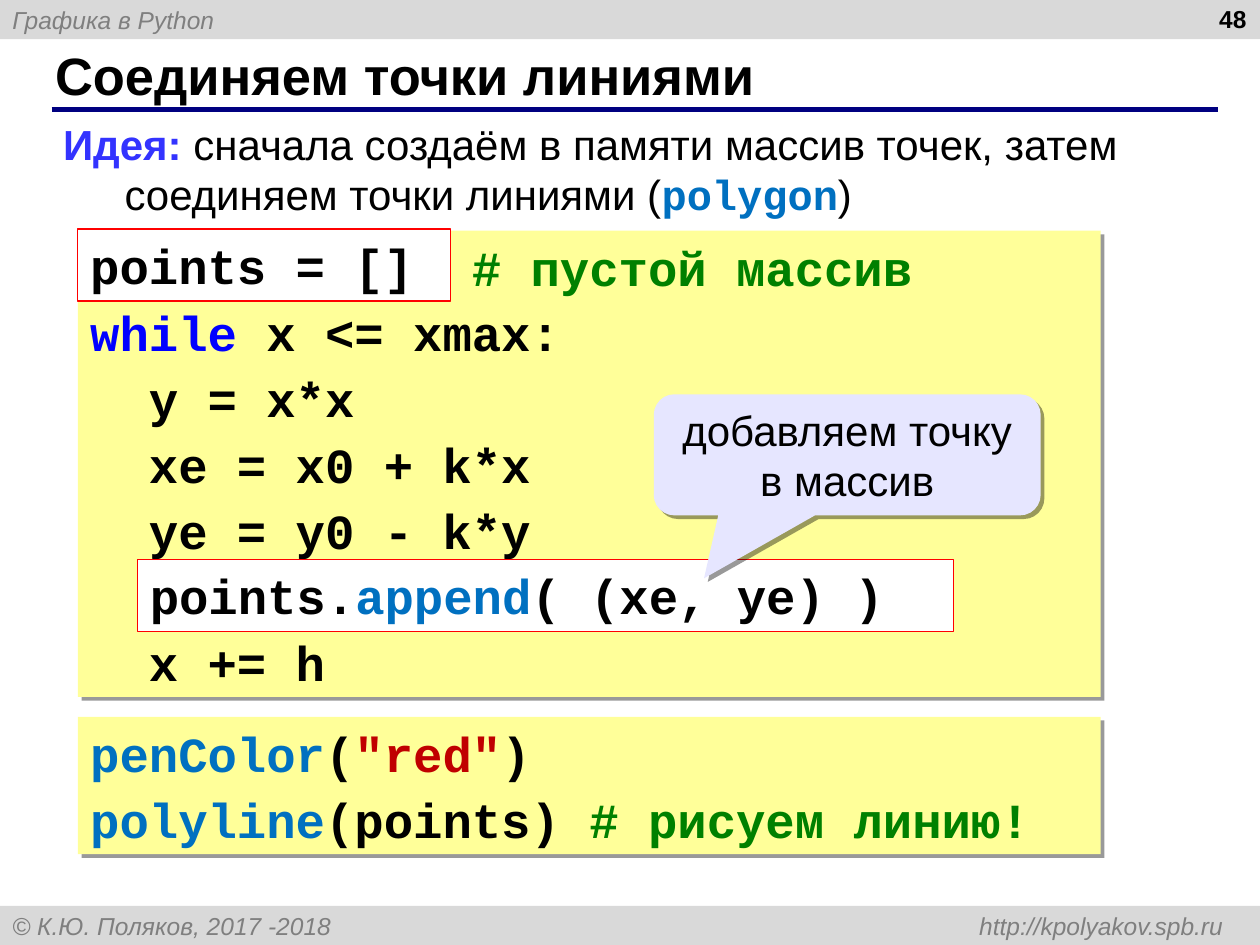
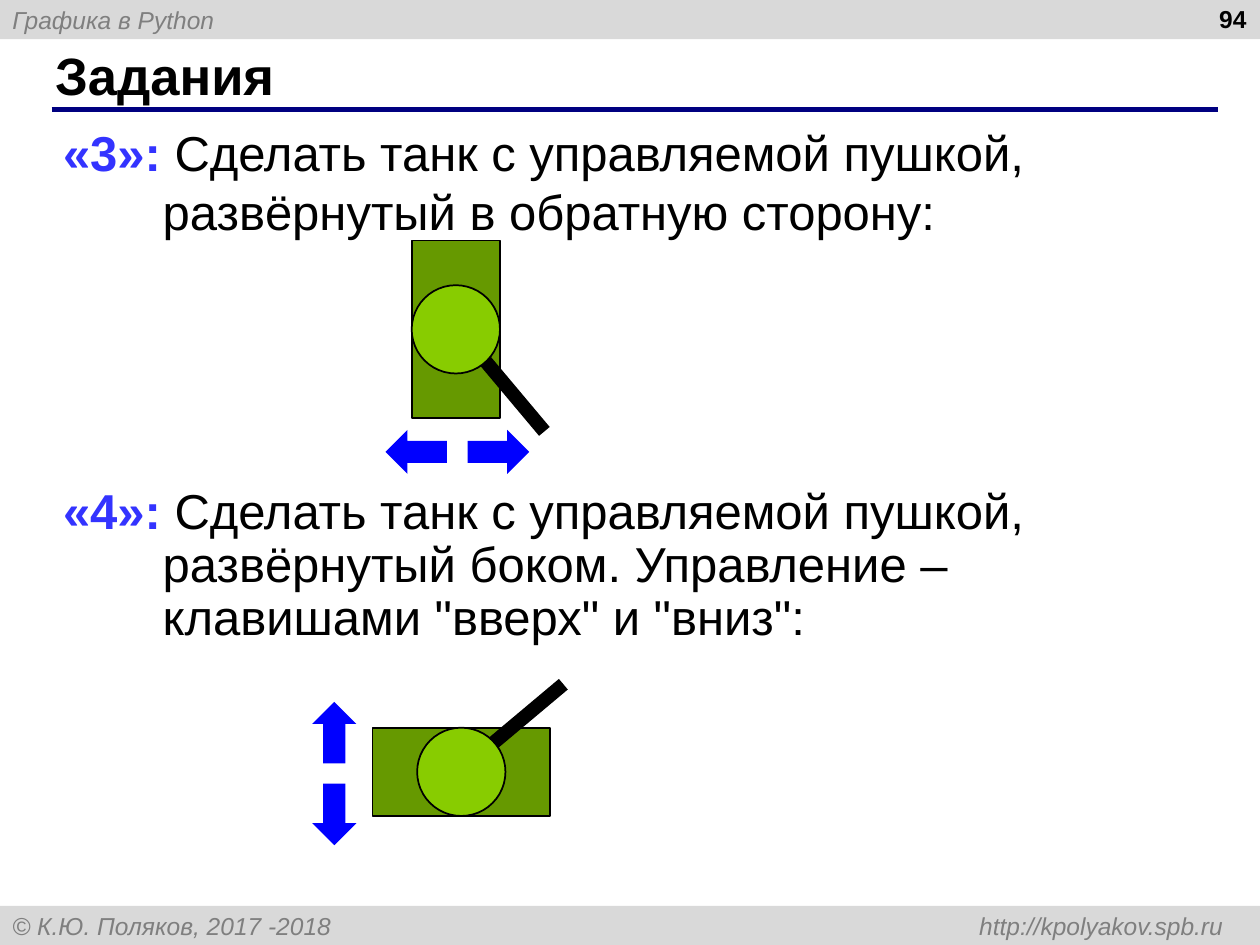
from lxml.etree import SubElement
from pptx import Presentation
from pptx.dml.color import RGBColor
from pptx.enum.shapes import MSO_CONNECTOR, MSO_SHAPE
from pptx.enum.text import MSO_ANCHOR, MSO_AUTO_SIZE, PP_ALIGN
from pptx.oxml.ns import qn
from pptx.util import Cm, Pt

HUES = {
    "black": "000000", "white": "FFFFFF", "band": "D9D9D9", "gray": "7F7F7F",
    "navy": "000080", "mark": "3333FF", "name": "0070C0", "note": "008000",
    "word": "0000FF", "text": "C00000", "code": "FFFF99", "frame": "FF0000",
    "call": "E6E6FF", "hull": "669900", "dome": "88CC00",
}
SANS, MONO = "Arial", "Courier New"


def hue(name):
    return RGBColor.from_string(HUES[name])


class Deck:
    """Holds the shared style and the slide being built."""

    def __init__(self):
        self.prs = Presentation()
        self.prs.slide_width, self.prs.slide_height = Cm(25.4), Cm(19.05)
        self.slide = None

    def page(self, title, number):
        self.slide = self.prs.slides.add_slide(self.prs.slide_layouts[1])
        top = self.box(0, 0, 25.4, 0.79, "band")
        foot = self.box(0, 18.26, 25.4, 0.79, "band")
        for band, text in ((top, "Графика в Python"),
                           (foot, "© К.Ю. Поляков, 2017 -2018\thttp://kpolyakov.spb.ru")):
            self.frame(band, MSO_ANCHOR.MIDDLE)
            para = band.text_frame.paragraphs[0]
            if band is foot:
                tabs = SubElement(para._p.get_or_add_pPr(), qn("a:tabLst"))
                SubElement(tabs, qn("a:tab"), pos=str(Cm(24.41)), algn="r")
            self.runs(para, [(text, "gray")], 14, italic=True)
        self.rule(1.04, 2.21, 24.56)
        head = self.slide.shapes.title
        self.place(head, 0.86, 0.84, 23.27, 1.32)
        self.frame(head, MSO_ANCHOR.MIDDLE)
        self.runs(head.text_frame.paragraphs[0], [(title, "black")], 30, bold=True)
        num = self.slide.shapes.add_textbox(Cm(19.46), Cm(-0.05), Cm(5.92), Cm(1.32))
        self.frame(num)
        self.runs(num.text_frame.paragraphs[0], [(number, "black")], 14, bold=True,
                  align=PP_ALIGN.RIGHT)

    def place(self, shape, x, y, w, h):
        shape.left, shape.top, shape.width, shape.height = Cm(x), Cm(y), Cm(w), Cm(h)

    def frame(self, shape, anchor=MSO_ANCHOR.TOP):
        text = shape.text_frame
        text.word_wrap = True
        text.auto_size = MSO_AUTO_SIZE.NONE
        text.vertical_anchor = anchor
        text.margin_left = text.margin_right = Cm(0.25)
        text.margin_top = text.margin_bottom = Cm(0.13)

    def runs(self, para, parts, size, font=SANS, bold=False, italic=False,
             align=PP_ALIGN.LEFT):
        """Add (text, hue) parts; a part may add its own bold and font."""
        para.alignment = align
        for text, tone, *own in parts:
            run = para.add_run()
            run.text = text
            run.font.size = Pt(size)
            run.font.color.rgb = hue(tone)
            run.font.bold = own[0] if own else bold
            run.font.name = own[1] if len(own) > 1 else font
            run.font.italic = italic

    def box(self, x, y, w, h, fill, kind=MSO_SHAPE.RECTANGLE, line=None,
            width=1, home=None):
        shapes = (home or self.slide).shapes
        shape = shapes.add_shape(kind, Cm(x), Cm(y), Cm(w), Cm(h))
        shape.shadow.inherit = False
        shape.fill.solid()
        shape.fill.fore_color.rgb = hue(fill)
        if line:
            shape.line.color.rgb = hue(line)
            shape.line.width = Pt(width)
        else:
            shape.line.fill.background()
        return shape

    def shade(self, shape):
        """Give the shape a hard shadow, down and to the right."""
        effects = shape._element.spPr.find(qn("a:effectLst"))
        drop = SubElement(effects, qn("a:outerShdw"), dist=str(Pt(3)),
                          dir="2700000", algn="tl", rotWithShape="0")
        tone = SubElement(drop, qn("a:srgbClr"), val=HUES["black"])
        SubElement(tone, qn("a:alpha"), val="40000")

    def rule(self, x, y, end):
        line = self.slide.shapes.add_connector(
            MSO_CONNECTOR.STRAIGHT, Cm(x), Cm(y), Cm(end), Cm(y))
        line.line.color.rgb = hue("navy")
        line.line.width = Pt(3)
        SubElement(line._element.spPr, qn("a:effectLst"))

    def body(self, y, h, hang, size, paras):
        """Fill the body with (parts, space before, line spacing) paragraphs."""
        shape = self.slide.placeholders[1]
        self.place(shape, 1.02, y, 23.38, h)
        self.frame(shape)
        for i, (parts, before, pitch) in enumerate(paras):
            text = shape.text_frame
            para = text.add_paragraph() if i else text.paragraphs[0]
            props = para._p.get_or_add_pPr()
            props.set("marL", str(Cm(hang)))
            props.set("indent", str(-Cm(hang)))
            SubElement(props, qn("a:buNone"))
            para.space_before = Pt(before)
            para.line_spacing = pitch
            self.runs(para, parts, size)

    def code(self, x, y, w, h, lines, framed=False):
        if framed:
            shape = self.box(x, y, w, h, "white", line="frame", width=0.75)
        else:
            shape = self.box(x, y, w, h, "code")
            self.shade(shape)
        self.frame(shape)
        for i, parts in enumerate(lines):
            text = shape.text_frame
            para = text.add_paragraph() if i else text.paragraphs[0]
            para.space_before = Pt(4 if i else 0)
            self.runs(para, parts, 28, MONO, bold=True)

    def call(self, x, y, w, h, text):
        shape = self.box(x, y, w, h, "call", MSO_SHAPE.ROUNDED_RECTANGULAR_CALLOUT)
        for i, value in enumerate((-0.37, 1.02, 0.17)):
            shape.adjustments[i] = value
        self.shade(shape)
        self.frame(shape, MSO_ANCHOR.MIDDLE)
        self.runs(shape.text_frame.paragraphs[0], [(text, "black")], 24,
                  align=PP_ALIGN.CENTER)

    def tank(self, x, y, w, h, dx, dy, angle):
        """Draw a tank centred at x, y with its gun centred dx, dy away."""
        group = self.slide.shapes.add_group_shape()
        gun_w, gun_h, dome = 0.28, 2.29, 1.78
        self.box(x - w / 2, y - h / 2, w, h, "hull", line="black", home=group)
        gun = self.box(x + dx - gun_w / 2, y + dy - gun_h / 2, gun_w, gun_h,
                       "black", home=group)
        gun.rotation = angle
        self.box(x - dome / 2, y - dome / 2, dome, dome, "dome",
                 MSO_SHAPE.OVAL, "black", home=group)

    def keys(self, w, h, arrows):
        """Draw a group of (kind, centre x, centre y) arrows."""
        group = self.slide.shapes.add_group_shape()
        for kind, x, y in arrows:
            self.box(x - w / 2, y - h / 2, w, h, "word", kind, home=group)


def lines(deck):
    deck.page("Соединяем точки линиями", "48")
    deck.body(2.26, 2.29, 1.24, 24, [([
        ("Идея: ", "mark", True),
        ("сначала создаём в памяти массив точек, затем соединяем точки линиями (", "black"),
        ("polygon", "name", True, MONO), (")", "black")], 0, 1)])
    start = ("points = []", "black")
    add = [("append", "name"), ("( (xe, ye) )", "black")]
    deck.code(1.57, 4.65, 20.62, 9.4, [
        [start, ("  # пустой массив", "note")],
        [("while", "word"), (" x <= xmax:", "black")],
        [("  y = x*x", "black")],
        [("  xe = x0 + k*x", "black")],
        [("  ye = y0 - k*y", "black")],
        [("  points.", "black"), *add],
        [("  x += h", "black")]])
    deck.code(2.77, 11.28, 16.46, 1.45, [[("points.", "black"), *add]], framed=True)
    deck.call(13.18, 7.95, 7.8, 2.44, "добавляем точку в массив")
    deck.code(1.57, 14.45, 20.62, 2.77, [
        [("penColor", "name"), ("(", "black"), ('"red"', "text"), (")", "black")],
        [("polyline", "name"), ("(points) ", "black"), ("# рисуем линию!", "note")]])
    deck.code(1.57, 4.62, 7.52, 1.45, [[start]], framed=True)


def tasks(deck):
    deck.page("Задания", "94")
    deck.body(2.34, 10.87, 2.01, 28, [
        ([("«3»: ", "mark", True),
          ("Сделать танк с управляемой пушкой, развёрнутый в обратную сторону:", "black")],
         0, 1),
        ([("«4»: ", "mark", True),
          ("Сделать танк с управляемой пушкой, развёрнутый боком. "
           'Управление – клавишами "вверх" и "вниз":', "black")],
         141, 0.9)])
    deck.tank(9.19, 6.64, 1.78, 3.58, 1.05, 1.18, 320)
    deck.tank(9.3, 15.56, 3.58, 1.78, 1.18, -1.03, 50)
    deck.keys(1.24, 0.89, [(MSO_SHAPE.RIGHT_ARROW, 10.05, 9.11),
                           (MSO_SHAPE.LEFT_ARROW, 8.39, 9.11)])
    deck.keys(0.89, 1.24, [(MSO_SHAPE.UP_ARROW, 6.74, 14.77),
                           (MSO_SHAPE.DOWN_ARROW, 6.74, 16.42)])


def main():
    deck = Deck()
    lines(deck)
    tasks(deck)
    deck.prs.save("out.pptx")


if __name__ == "__main__":
    main()
